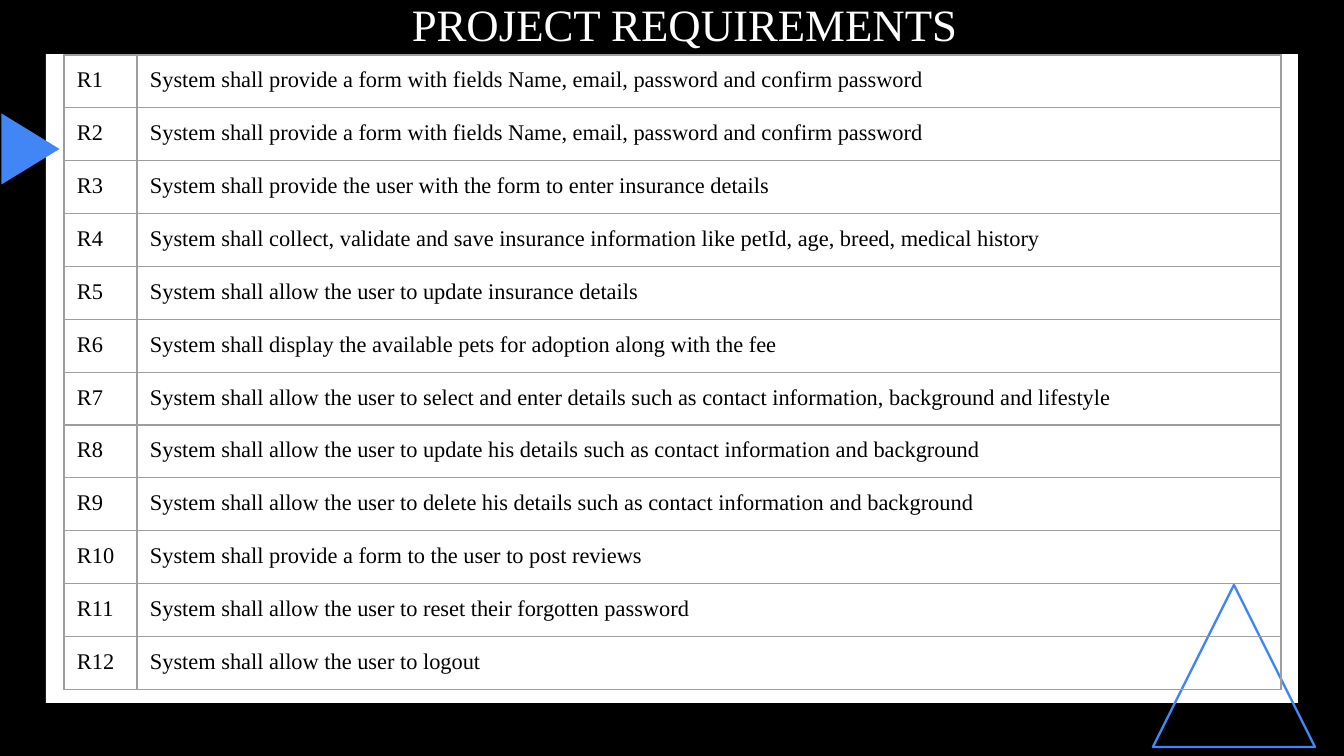
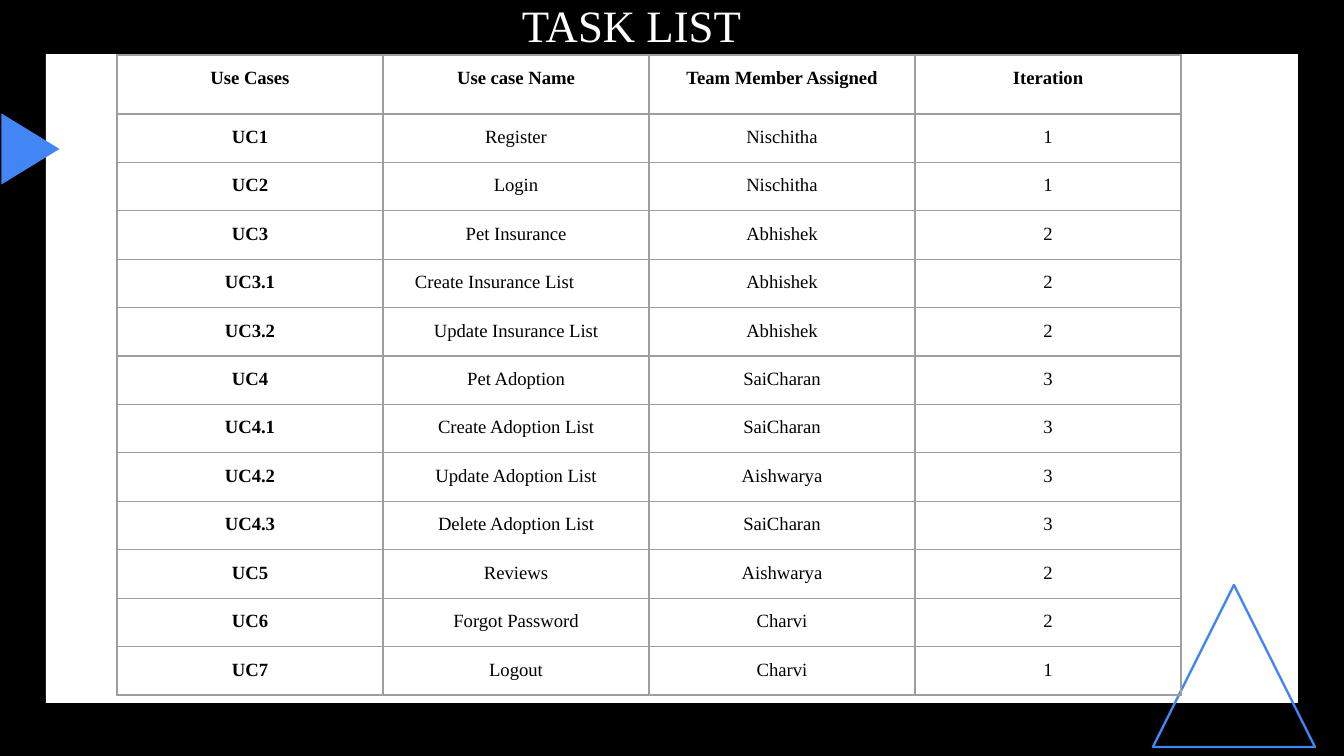
from dataclasses import dataclass
from typing import NamedTuple

from lxml.etree import SubElement
from pptx import Presentation
from pptx.dml.color import RGBColor
from pptx.enum.shapes import MSO_SHAPE as Shape
from pptx.enum.text import MSO_ANCHOR as Anchor, PP_ALIGN as Align
from pptx.oxml.ns import qn
from pptx.util import Pt

SLIDE_WIDTH, SLIDE_HEIGHT = 1344, 756
EMU_PER_PX = 9144000 / SLIDE_WIDTH
FONT = "Times New Roman"
COLORS = {
    "background": "000000",
    "panel": "FFFFFF",
    "accent": "4285F4",
    "grid": "9E9E9E",
    "text": "000000",
    "title": "FFFFFF",
    "task_title": "FFFEFF",
}


class Box(NamedTuple):
    left: int
    top: int
    width: int
    height: int


class Insets(NamedTuple):
    left: int
    top: int
    right: int
    bottom: int


@dataclass(frozen=True)
class Decor:
    kind: Shape
    box: Box
    fill: str | None = None
    line: str | None = None
    rotation: int = 0


@dataclass(frozen=True)
class Title:
    text: str
    box: Box
    insets: Insets
    color: str
    anchor: Anchor


@dataclass(frozen=True)
class Grid:
    left: int
    top: int
    columns: tuple[int, ...]
    heights: tuple[int, ...]
    rows: tuple[tuple[str, ...], ...]
    size: int
    align: Align = Align.LEFT
    bold_heads: bool = False
    indents: tuple[tuple[str, int], ...] = ()


CELL_INSETS = Insets(13, 13, 13, 13)
DECORS = (
    Decor(Shape.RECTANGLE, Box(46, 54, 1252, 649), fill="panel"),
    Decor(Shape.ISOSCELES_TRIANGLE, Box(1153, 585, 162, 162), line="accent"),
    Decor(Shape.ISOSCELES_TRIANGLE, Box(-5, 120, 71, 58), fill="accent", rotation=90),
)

REQUIREMENTS = (
    "provide a form with fields Name, email, password and confirm password",
    "provide a form with fields Name, email, password and confirm password",
    "provide the user with the form to enter insurance details",
    "collect, validate and save insurance information like petId, age, breed, medical history",
    "allow the user to update insurance details",
    "display the available pets for adoption along with the fee",
    "allow the user to select and enter details such as contact information, "
    "background and lifestyle",
    "allow the user to update his details such as contact information and background",
    "allow the user to delete his details such as contact information and background",
    "provide a form to the user to post reviews",
    "allow the user to reset their forgotten password",
    "allow the user to logout",
)
TASKS = (
    ("Use Cases", "Use case Name", "Team Member Assigned", "Iteration"),
    ("UC1", "Register", "Nischitha", "1"),
    ("UC2", "Login", "Nischitha", "1"),
    ("UC3", "Pet Insurance", "Abhishek", "2"),
    ("UC3.1", "Create Insurance List", "Abhishek", "2"),
    ("UC3.2", "Update Insurance List", "Abhishek", "2"),
    ("UC4", "Pet Adoption", "SaiCharan", "3"),
    ("UC4.1", "Create Adoption List", "SaiCharan", "3"),
    ("UC4.2", "Update Adoption List", "Aishwarya", "3"),
    ("UC4.3", "Delete Adoption List", "SaiCharan", "3"),
    ("UC5", "Reviews", "Aishwarya", "2"),
    ("UC6", "Forgot Password", "Charvi", "2"),
    ("UC7", "Logout", "Charvi", "1"),
)

PAGES = (
    (
        Title("PROJECT REQUIREMENTS", Box(113, -11, 1152, 76), Insets(0, 6, 9, 6),
              "title", Anchor.MIDDLE),
        Grid(
            left=64, top=55, columns=(73, 1144),
            heights=(44,) * 6 + (42, 39, 47, 35, 38, 42),
            rows=tuple((f"R{number}", f"System shall {action}")
                       for number, action in enumerate(REQUIREMENTS, 1)),
            size=12,
        ),
    ),
    (
        Title("TASK LIST", Box(425, -9, 413, 108), CELL_INSETS,
              "task_title", Anchor.TOP),
        Grid(
            left=117, top=55, columns=(266,) * 4, heights=(59,) + (48,) * 12,
            rows=TASKS, size=10, align=Align.CENTER, bold_heads=True,
            indents=(("Create Insurance List", 19),),
        ),
    ),
)


def px(length: int) -> int:
    return round(length * EMU_PER_PX)


def place(box: Box) -> tuple[int, ...]:
    return tuple(px(length) for length in box)


def color(name: str) -> RGBColor:
    return RGBColor.from_string(COLORS[name])


def set_insets(target, insets: Insets) -> None:
    """Set the margins of a text frame or a table cell."""
    target.margin_left, target.margin_top, target.margin_right, target.margin_bottom = (
        px(length) for length in insets)


def put_text(frame, text: str, *, size: int, tint: str = "text", bold: bool = False,
             align: Align = Align.LEFT, spacing: float | None = None,
             indent: int = 0) -> None:
    para = frame.paragraphs[0]
    para.alignment = align
    para.line_spacing = spacing
    if indent:
        para._p.get_or_add_pPr().set("marL", str(px(indent)))
    span = para.add_run()
    span.text = text
    span.font.name = FONT
    span.font.size = Pt(size)
    span.font.bold = bold
    span.font.color.rgb = color(tint)


def draw_decor(page, decor: Decor) -> None:
    shape = page.shapes.add_shape(decor.kind, *place(decor.box))
    shape.shadow.inherit = False
    shape.rotation = decor.rotation
    if decor.fill:
        shape.fill.solid()
        shape.fill.fore_color.rgb = color(decor.fill)
    else:
        shape.fill.background()
    if decor.line:
        shape.line.color.rgb = color(decor.line)
        shape.line.width = Pt(1.25)
    else:
        shape.line.fill.background()


def draw_title(page, title: Title) -> None:
    frame = page.shapes.add_textbox(*place(title.box)).text_frame
    frame.word_wrap = True
    frame.vertical_anchor = title.anchor
    set_insets(frame, title.insets)
    put_text(frame, title.text, size=24, tint=title.color, align=Align.CENTER, spacing=0.9)


def add_borders(cell) -> None:
    """Outline a cell; call before its fill is set, as the schema wants lines first."""
    properties = cell._tc.get_or_add_tcPr()
    for side in ("lnL", "lnR", "lnT", "lnB"):
        line = SubElement(properties, qn(f"a:{side}"), w=str(Pt(0.75)))
        fill = SubElement(line, qn("a:solidFill"))
        SubElement(fill, qn("a:srgbClr"), val=COLORS["grid"])


def draw_grid(page, grid: Grid) -> None:
    box = Box(grid.left, grid.top, sum(grid.columns), sum(grid.heights))
    table = page.shapes.add_table(len(grid.rows), len(grid.columns), *place(box)).table
    table.first_row = table.horz_banding = False
    for column, width in zip(table.columns, grid.columns):
        column.width = px(width)
    for row, height in zip(table.rows, grid.heights):
        row.height = px(height)
    indents = dict(grid.indents)
    for row_index, texts in enumerate(grid.rows):
        for column_index, text in enumerate(texts):
            cell = table.cell(row_index, column_index)
            add_borders(cell)
            cell.fill.background()
            set_insets(cell, CELL_INSETS)
            indent = indents.get(text, 0)
            put_text(
                cell.text_frame, text, size=grid.size, indent=indent,
                align=Align.LEFT if indent else grid.align,
                bold=grid.bold_heads and 0 in (row_index, column_index),
            )


def main() -> None:
    deck = Presentation()
    deck.slide_width, deck.slide_height = px(SLIDE_WIDTH), px(SLIDE_HEIGHT)
    for title, grid in PAGES:
        page = deck.slides.add_slide(deck.slide_layouts[6])
        page.background.fill.solid()
        page.background.fill.fore_color.rgb = color("background")
        for decor in DECORS:
            draw_decor(page, decor)
        draw_title(page, title)
        draw_grid(page, grid)
    deck.save("out.pptx")


if __name__ == "__main__":
    main()
